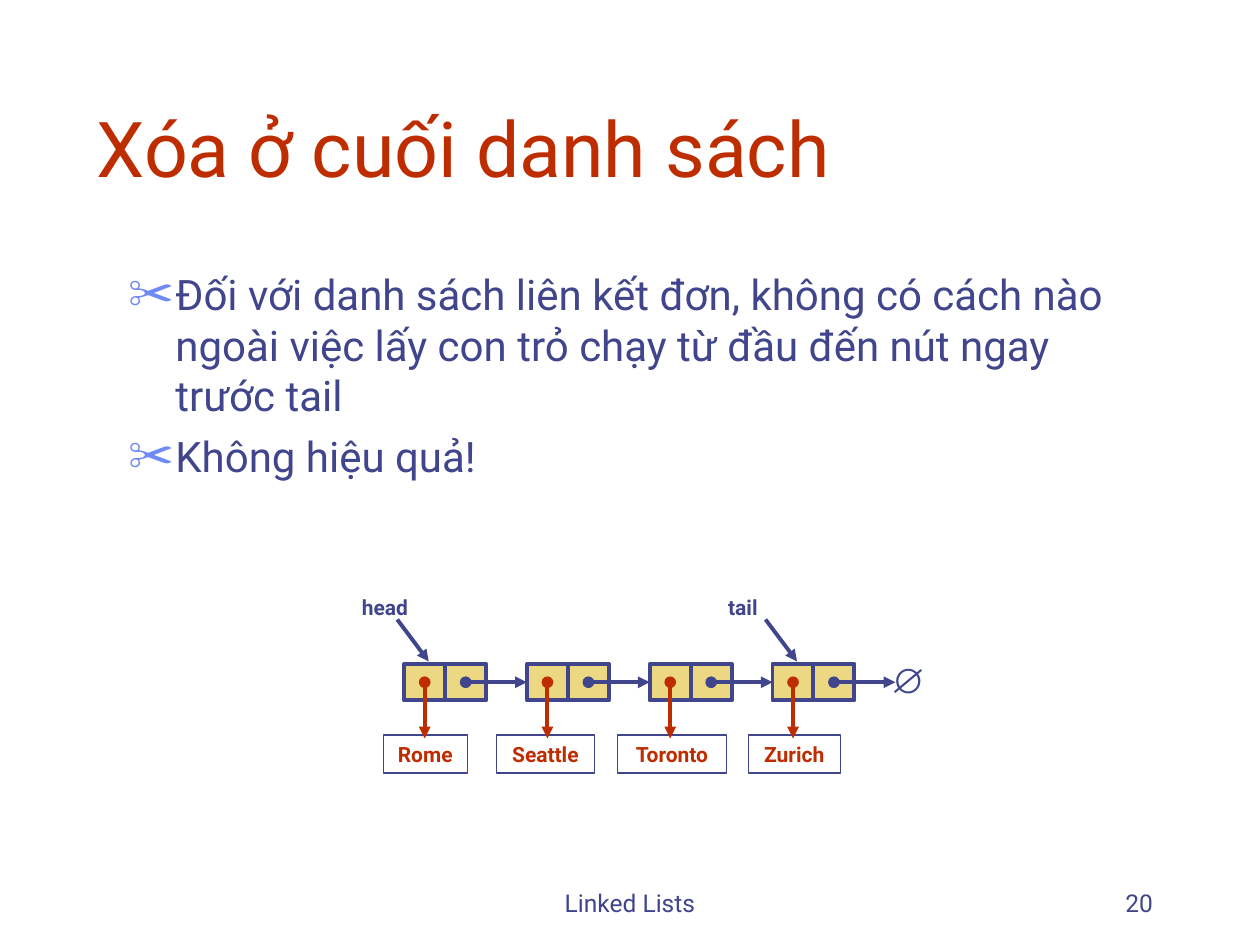
from lxml import etree
from pptx import Presentation
from pptx.dml.color import RGBColor
from pptx.enum.shapes import MSO_CONNECTOR, MSO_SHAPE
from pptx.enum.text import MSO_ANCHOR, MSO_AUTO_SIZE, PP_ALIGN
from pptx.oxml.ns import qn
from pptx.util import Pt

RECTANGLE, STRAIGHT = MSO_SHAPE.RECTANGLE, MSO_CONNECTOR.STRAIGHT
LEFT, CENTER, RIGHT = PP_ALIGN.LEFT, PP_ALIGN.CENTER, PP_ALIGN.RIGHT
TOP, BOTTOM = MSO_ANCHOR.TOP, MSO_ANCHOR.BOTTOM
LEFT_SIDE = 1

NAVY, RED, GOLD, BULLET_BLUE = "40458C", "BE2D00", "ECD882", "6F89F7"

TITLE = "Xóa ở cuối danh sách"
POINTS = [
    "Đối với danh sách liên kết đơn, không có cách nào ngoài việc lấy con trỏ "
    "chạy từ đầu đến nút ngay trước tail",
    "Không hiệu quả!",
]
# text, left, top, width, alignment
FOOTERS = [("Linked Lists", 246, 492, 228, CENTER), ("20", 516, 492, 150, RIGHT)]
# city, left and width of its box
CITIES = [("Rome", 219, 48), ("Seattle", 283.7, 56), ("Toronto", 353, 62), ("Zurich", 427.7, 52.5)]
# label, left and width of its box, index of the node it points to
POINTERS = [("head", 198, 44, 0), ("tail", 407.5, 34, 3)]

CHAIN_LEFT, CHAIN_TOP = 231, 379.4
CELL_WIDTH, CELL_HEIGHT = 23.4, 20.9
NODE_PITCH = 70.15
CHAIN_MIDDLE = CHAIN_TOP + CELL_HEIGHT / 2
CITY_TOP, LABEL_TOP, LABEL_HEIGHT = 420, 336, 21.8
NULL_LEFT = 504


def color(value):
    return RGBColor.from_string(value)


def write(box, *texts, size=12, fill=NAVY, font="Roboto", bold=False,
          align=CENTER, anchor=TOP, wrap=False):
    frame = box.text_frame
    frame.auto_size = MSO_AUTO_SIZE.NONE
    frame.word_wrap = wrap
    frame.vertical_anchor = anchor
    for index, text in enumerate(texts):
        para = frame.add_paragraph() if index else frame.paragraphs[0]
        para.alignment = align
        span = para.add_run()
        span.text = text
        span.font.name, span.font.size, span.font.bold = font, Pt(size), bold
        span.font.color.rgb = color(fill)


def place(box, left, top, width, height):
    box.left, box.top, box.width, box.height = Pt(left), Pt(top), Pt(width), Pt(height)


def add_text(left, top, width, height, text, **style):
    box = page.shapes.add_textbox(Pt(left), Pt(top), Pt(width), Pt(height))
    write(box, text, **style)


def add_rectangle(left, top, width, height, weight, fill=None):
    box = page.shapes.add_shape(RECTANGLE, Pt(left), Pt(top), Pt(width), Pt(height))
    box.shadow.inherit = False
    if fill:
        box.fill.solid()
        box.fill.fore_color.rgb = color(fill)
    else:
        box.fill.background()
    box.line.color.rgb = color(NAVY)
    box.line.width = Pt(weight)
    return box


def add_arrow(x1, y1, x2, y2, stroke=NAVY, dot=True):
    arrow = page.shapes.add_connector(STRAIGHT, Pt(x1), Pt(y1), Pt(x2), Pt(y2))
    arrow.line.color.rgb = color(stroke)
    arrow.line.width = Pt(2.25)
    properties = arrow._element.spPr
    line = properties.find(qn("a:ln"))
    if dot:
        etree.SubElement(line, qn("a:headEnd"), type="oval")
    etree.SubElement(line, qn("a:tailEnd"), type="triangle")
    etree.SubElement(properties, qn("a:effectLst"))
    return arrow


def add_bullet(para):
    para.space_before = Pt(6)
    properties = para._p.get_or_add_pPr()
    properties.set("marL", str(Pt(27)))
    properties.set("indent", str(Pt(-27)))
    bullet_color = etree.SubElement(properties, qn("a:buClr"))
    etree.SubElement(bullet_color, qn("a:srgbClr"), val=BULLET_BLUE)
    etree.SubElement(properties, qn("a:buSzPct"), val="110000")
    etree.SubElement(properties, qn("a:buChar"), char="✂")


deck = Presentation()
deck.slide_width, deck.slide_height = Pt(720), Pt(540)
page = deck.slides.add_slide(deck.slide_layouts[1])

title, body = page.placeholders
place(title, 48, 24, 612, 90)
write(title, TITLE, size=44, fill=RED, align=LEFT, anchor=BOTTOM, wrap=True)
place(body, 66, 150, 588, 324)
write(body, *POINTS, size=24, align=LEFT, wrap=True)
for para in body.text_frame.paragraphs:
    add_bullet(para)

for text, left, top, width, align in FOOTERS:
    add_text(left, top, width, 36, text, size=14, align=align, anchor=BOTTOM, wrap=True)

node_lefts = [CHAIN_LEFT + index * NODE_PITCH for index in range(len(CITIES))]
value_cells = []
for left in node_lefts:
    value_cell, _ = [
        add_rectangle(left + side * CELL_WIDTH, CHAIN_TOP, CELL_WIDTH, CELL_HEIGHT, 2.25, GOLD)
        for side in range(2)
    ]
    value_cells.append(value_cell)

for index, (left, (city, city_left, city_width)) in enumerate(zip(node_lefts, CITIES)):
    city_box = add_rectangle(city_left, CITY_TOP, city_width, LABEL_HEIGHT, 0.75)
    write(city_box, city, fill=RED, bold=True)
    value_x = left + CELL_WIDTH / 2
    add_arrow(value_x, CHAIN_MIDDLE, value_x, CITY_TOP + 2, RED)
    link = add_arrow(value_x + CELL_WIDTH, CHAIN_MIDDLE, left + NODE_PITCH, CHAIN_MIDDLE)
    if index + 1 < len(value_cells):
        link.end_connect(value_cells[index + 1], LEFT_SIDE)

add_text(NULL_LEFT, 373, 30, 31.5, "∅", size=20, font="Arial", bold=True)

for label, left, width, node in POINTERS:
    add_text(left, LABEL_TOP, width, LABEL_HEIGHT, label, bold=True)
    tip = node_lefts[node] + 14
    add_arrow(tip - 18, 354, tip, 378, dot=False)

deck.save("out.pptx")
